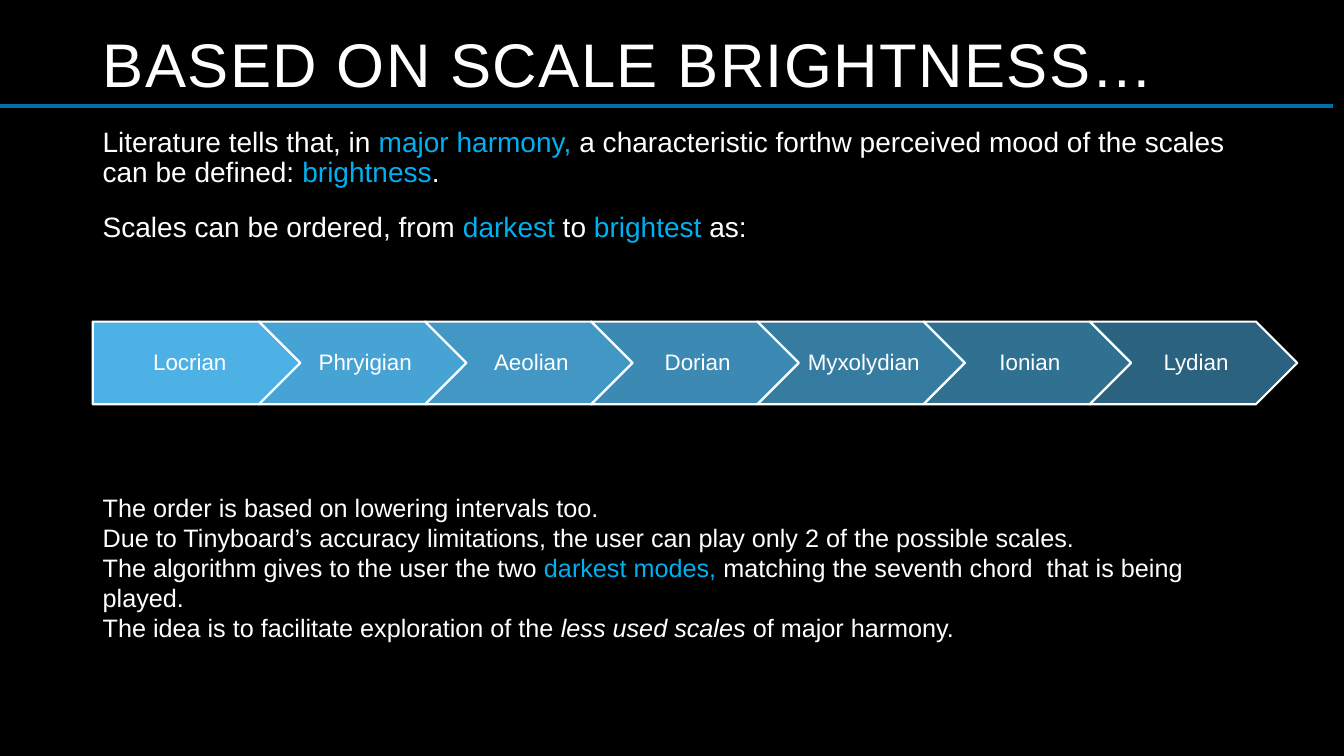
from lxml import etree
from pptx import Presentation
from pptx.dml.color import RGBColor
from pptx.enum.shapes import MSO_CONNECTOR, MSO_SHAPE
from pptx.enum.text import MSO_ANCHOR, PP_ALIGN
from pptx.oxml.ns import qn
from pptx.util import Inches, Pt

CENTER, LEFT = PP_ALIGN.CENTER, PP_ALIGN.LEFT
TOP, MIDDLE, BOTTOM = MSO_ANCHOR.TOP, MSO_ANCHOR.MIDDLE, MSO_ANCHOR.BOTTOM
PENTAGON, CHEVRON = MSO_SHAPE.PENTAGON, MSO_SHAPE.CHEVRON
STRAIGHT = MSO_CONNECTOR.STRAIGHT

COLORS = {"background": "000000", "text": "FFFFFF", "accent": "00B0F0",
          "rule": "0070AB", "scale": "56C5FF"}
FONT = "Arial"

TITLE = [[("BASED ON SCALE BRIGHTNESS…", "")]]
INTRO = [
    [("Literature tells that, in ", ""), ("major harmony,", "accent"),
     (" a characteristic forthw perceived mood of the scales can be defined: ", ""),
     ("brightness", "accent"), (".", "")],
    [("Scales can be ordered, from ", ""), ("darkest", "accent"), (" to ", ""),
     ("brightest", "accent"), (" as:", "")],
]
SCALES = ["Locrian", "Phryigian", "Aeolian", "Dorian", "Myxolydian", "Ionian", "Lydian"]
NOTES = [
    [("The order is based on lowering intervals too.", "")],
    [("Due to Tinyboard’s accuracy limitations, the user can play only 2 of the "
      "possible scales.", "")],
    [("The algorithm gives to the user the two ", ""), ("darkest modes,", "accent"),
     (" matching the seventh chord  that is being played.", "")],
    [("The idea is to facilitate exploration of the ", ""),
     ("less used scales", "italic"), (" of major harmony.", "")],
]

MARGIN = 0.92
RULE_Y, RULE_END = 1.05, 13.22
SCALE_TOP, SCALE_WIDTH, SCALE_HEIGHT = 3.19, 2.06, 0.82
SCALE_STEP = SCALE_WIDTH * 0.8
ALPHA_FIRST, ALPHA_LAST = 90, 50


def rgb(name):
    """Return the named colour."""
    return RGBColor.from_string(COLORS[name])


def write(frame, paragraphs, size, align=LEFT, line_spacing=1.0, gap=0):
    """Fill a text frame with styled paragraphs."""
    frame.word_wrap = True
    for index, pieces in enumerate(paragraphs):
        paragraph = frame.paragraphs[0] if index == 0 else frame.add_paragraph()
        paragraph.alignment = align
        paragraph.line_spacing = line_spacing
        paragraph.space_before = Pt(gap if index else 0)
        for words, style in pieces:
            run = paragraph.add_run()
            run.text = words
            run.font.name = FONT
            run.font.size = Pt(size)
            run.font.italic = style == "italic"
            run.font.color.rgb = rgb("accent" if style == "accent" else "text")


def add_text(slide, box, paragraphs, size, anchor=TOP, **layout):
    """Add a text box and return its frame."""
    frame = slide.shapes.add_textbox(*map(Inches, box)).text_frame
    frame.vertical_anchor = anchor
    write(frame, paragraphs, size, **layout)
    return frame


def add_rule(slide):
    """Draw the line below the title."""
    rule = slide.shapes.add_connector(
        STRAIGHT, 0, Inches(RULE_Y), Inches(RULE_END), Inches(RULE_Y))
    rule.line.color.rgb = rgb("rule")
    rule.line.width = Pt(3)
    etree.SubElement(rule._element.spPr, qn("a:effectLst"))


def add_scale(slide, index, name):
    """Add one arrow of the scale sequence."""
    arrow = slide.shapes.add_shape(
        CHEVRON if index else PENTAGON, Inches(MARGIN + index * SCALE_STEP),
        Inches(SCALE_TOP), Inches(SCALE_WIDTH), Inches(SCALE_HEIGHT))
    arrow.shadow.inherit = False
    arrow.fill.solid()
    arrow.fill.fore_color.rgb = rgb("scale")
    opacity = ALPHA_FIRST + (ALPHA_LAST - ALPHA_FIRST) * index / (len(SCALES) - 1)
    tint = arrow._element.spPr.find(qn("a:solidFill"))[0]
    etree.SubElement(tint, qn("a:alpha"), val=str(round(opacity * 1000)))
    arrow.line.color.rgb = rgb("text")
    arrow.line.width = Pt(1.5)
    frame = arrow.text_frame
    frame.vertical_anchor = MIDDLE
    frame.margin_left = Inches(0.07 if index else 0.09)
    frame.margin_right = Inches(0.02)
    write(frame, [[(name, "")]], 16, align=CENTER, line_spacing=0.9)


def main():
    """Build the scale brightness slide."""
    deck = Presentation()
    deck.slide_width, deck.slide_height = Inches(13.33), Inches(7.5)
    slide = deck.slides.add_slide(deck.slide_layouts[6])
    slide.background.fill.solid()
    slide.background.fill.fore_color.rgb = rgb("background")

    add_text(slide, (MARGIN, 1.22, 11.43, 1.1), INTRO, 20, line_spacing=0.9, gap=18)
    title = add_text(slide, (MARGIN, 0, 12.31, RULE_Y), TITLE, 44, BOTTOM,
                     line_spacing=0.9)
    title.paragraphs[0].runs[0].font._element.set("spc", "100")
    add_rule(slide)
    for index, name in enumerate(SCALES):
        add_scale(slide, index, name)
    add_text(slide, (MARGIN, 4.83, 11.54, 1.62), NOTES, 18)
    deck.save("out.pptx")


if __name__ == "__main__":
    main()
